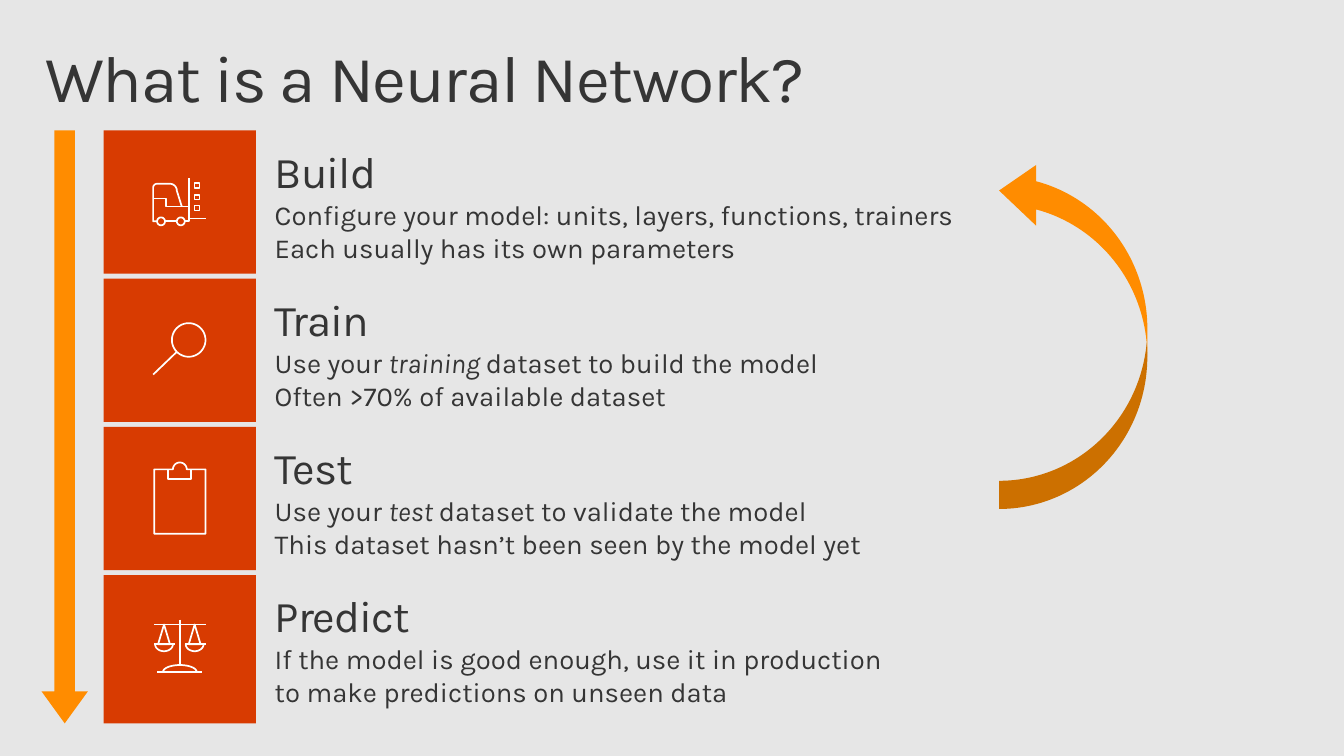
from math import cos, radians, sin

from pptx import Presentation
from pptx.dml.color import RGBColor
from pptx.enum.shapes import MSO_SHAPE as Shape
from pptx.enum.text import MSO_ANCHOR as Anchor, PP_ALIGN as Align
from pptx.util import Inches, Pt

FONT = "Karla"
GRAY = RGBColor(0xE6, 0xE6, 0xE6)
INK = RGBColor(0x35, 0x35, 0x35)
ORANGE = RGBColor(0xFF, 0x8C, 0x00)
RED = RGBColor(0xD8, 0x3B, 0x01)
WHITE = RGBColor(0xFF, 0xFF, 0xFF)


def arc(x, y, rx, ry, start, end, steps=24):
    """Points along an ellipse, angles in degrees, clockwise."""
    angles = [radians(start + (end - start) * i / steps) for i in range(steps + 1)]
    return [(x + rx * cos(a), y + ry * sin(a)) for a in angles]


def crate(y, x=0.92, size=0.05):
    return [(x, y), (x + size, y), (x + size, y + size), (x, y + size), (x, y)]


def scale_pan(x):
    return [
        [(x - 0.1, 0.7), (x + 0.11, 0.7)],
        arc(x, 0.7, 0.09, 0.07, 180, 0),
        [(x, 0.5), (x - 0.06, 0.7), (x + 0.06, 0.7), (x, 0.5)],
    ]


# Icon strokes, in inches from the top left corner of the tile
FORKLIFT = [
    arc(0.58, 0.92, 0.04, 0.04, 0, 360),
    arc(0.78, 0.92, 0.04, 0.04, 0, 360),
    [(0.79, 0.77), *arc(0.67, 0.61, 0.07, 0.07, 0, -90),
     *arc(0.54, 0.58, 0.04, 0.04, 270, 180), (0.5, 0.92), (0.54, 0.92)],
    [(0.62, 0.92), (0.74, 0.92)],
    [(0.82, 0.92), (0.86, 0.92), (0.86, 0.48)],
    [(0.86, 0.89), (1.03, 0.89)],
    [(0.5, 0.69), (0.63, 0.69), (0.63, 0.77), (0.86, 0.77)],
    *[crate(y) for y in (0.53, 0.65, 0.76)],
]
MAGNIFIER = [
    arc(0.86, 0.62, 0.17, 0.17, 0, 360, 48),
    [(0.5, 0.97), (0.74, 0.74)],
]
CLIPBOARD = [
    [(1.03, 0.43), (1.03, 1.08), (0.51, 1.08), (0.51, 0.43),
     *arc(0.77, 0.43, 0.07, 0.07, 180, 360), (1.03, 0.43)],
    [(0.65, 0.43), (0.65, 0.53), (0.88, 0.53), (0.88, 0.43)],
]
SCALES = [
    [(0.51, 0.5), (1.03, 0.5)],
    [(0.77, 0.45), (0.77, 0.91)],
    [(0.54, 0.98), (0.99, 0.98)],
    arc(0.77, 0.98, 0.17, 0.07, 180, 360),
    *scale_pan(0.61),
    *scale_pan(0.92),
]

# Heading, paragraphs (asterisks enclose italics), icon, tile height
TITLE = "What is a Neural Network?"
STEPS = [
    ("Build", ["Configure your model: units, layers, functions, trainers\n"
               "Each usually has its own parameters"], FORKLIFT, 1.45),
    ("Train", ["Use your *training *dataset to build the model",
               "Often >70% of available dataset"], MAGNIFIER, 1.45),
    ("Test", ["Use your *test *dataset to validate the model\n"
              "This dataset hasn’t been seen by the model yet"], CLIPBOARD, 1.45),
    ("Predict", ["If the model is good enough, use it in production\n"
                 "to make predictions on unseen data"], SCALES, 1.5),
]
TILE_LEFT, TILE_TOP, TILE_WIDTH, TILE_PITCH = 1.05, 1.32, 1.54, 1.5
TEXT_LEFT, TEXT_WIDTH = 2.58, 10.8


def set_font(para, size):
    para.font.name = FONT
    para.font.size = Pt(size)
    para.font.color.rgb = INK


def add_heading(para, text, size, tracking):
    para.alignment = Align.LEFT
    para.line_spacing = 0.9
    span = para.add_run()
    span.text = text
    span.font._element.set("spc", str(tracking))
    set_font(para, size)


def add_detail(para, text):
    for row, line in enumerate(text.split("\n")):
        if row:
            para.add_line_break()
        for index, part in enumerate(line.split("*")):
            span = para.add_run()
            span.text = part
            if index % 2:
                span.font.italic = True
    set_font(para, 20)


def set_insets(frame, side, top):
    frame.margin_left = frame.margin_right = Inches(side)
    frame.margin_top = frame.margin_bottom = Inches(top)
    frame.word_wrap = True


def add_filled(shapes, kind, area, color, adjustments=()):
    shape = shapes.add_shape(kind, *map(Inches, area))
    shape.shadow.inherit = False
    shape.fill.solid()
    shape.fill.fore_color.rgb = color
    shape.line.fill.background()
    for index, value in enumerate(adjustments):
        shape.adjustments[index] = value
    return shape


def add_icon(shapes, strokes, left, top):
    placed = [[(Inches(left + x), Inches(top + y)) for x, y in stroke]
              for stroke in strokes]
    builder = shapes.build_freeform(*placed[0][0])
    for index, (first, *rest) in enumerate(placed):
        if index:
            builder.move_to(*first)
        builder.add_line_segments(rest, close=first == rest[-1])
    icon = builder.convert_to_shape()
    icon.shadow.inherit = False
    icon.fill.background()
    icon.line.color.rgb = WHITE
    icon.line.width = Pt(1.25)


def main():
    deck = Presentation()
    deck.slide_width, deck.slide_height = Inches(13.6), Inches(7.65)
    page = deck.slides.add_slide(deck.slide_layouts[5])
    page.background.fill.solid()
    page.background.fill.fore_color.rgb = GRAY

    # Title
    title = page.shapes.title
    title.left, title.top = Inches(0.3), Inches(0.32)
    title.width, title.height = Inches(13), Inches(1)
    set_insets(title.text_frame, 0.16, 0.1)
    title.text_frame.vertical_anchor = Anchor.MIDDLE
    add_heading(title.text_frame.paragraphs[0], TITLE, 48, -100)

    # Loop arrow and sequence arrow
    loop = add_filled(page.shapes, Shape.CURVED_RIGHT_ARROW,
                      (10.11, 1.62, 1.5, 3.53), ORANGE, (0.19, 0.41, 0.25))
    loop.rotation = 180
    add_filled(page.shapes, Shape.DOWN_ARROW, (0.42, 1.32, 0.47, 6),
               ORANGE, (0.44, 0.69))

    # Steps: tile, text and icon
    for index, (heading, details, strokes, height) in enumerate(STEPS):
        top = TILE_TOP + index * TILE_PITCH
        shapes = page.shapes.add_group_shape().shapes
        add_filled(shapes, Shape.RECTANGLE,
                   (TILE_LEFT, top, TILE_WIDTH, height), RED)
        box = shapes.add_textbox(*map(Inches, (TEXT_LEFT, top, TEXT_WIDTH, height)))
        frame = box.text_frame
        set_insets(frame, 0.2, 0.2)
        frame.vertical_anchor = Anchor.TOP
        add_heading(frame.paragraphs[0], heading, 32, -70)
        for detail in details:
            add_detail(frame.add_paragraph(), detail)
        add_icon(shapes, strokes, TILE_LEFT, top)

    deck.save("out.pptx")


if __name__ == "__main__":
    main()
